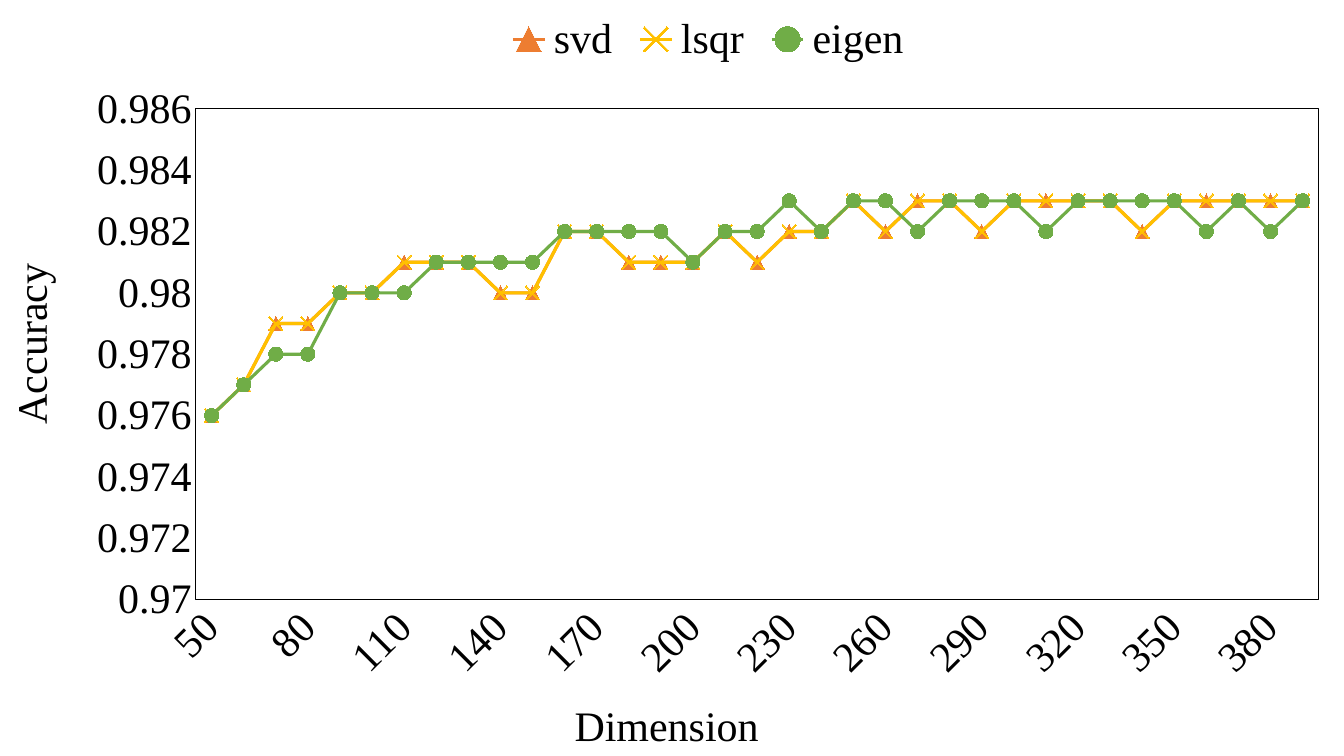
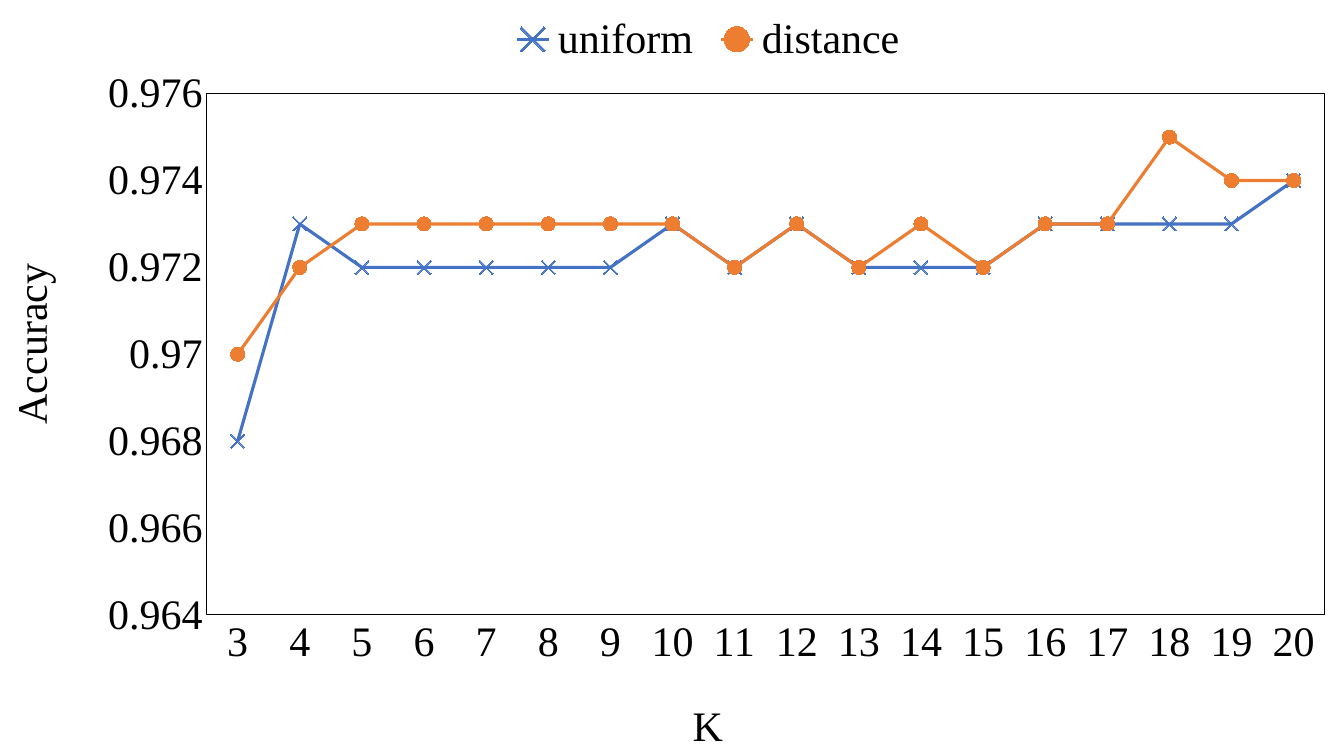
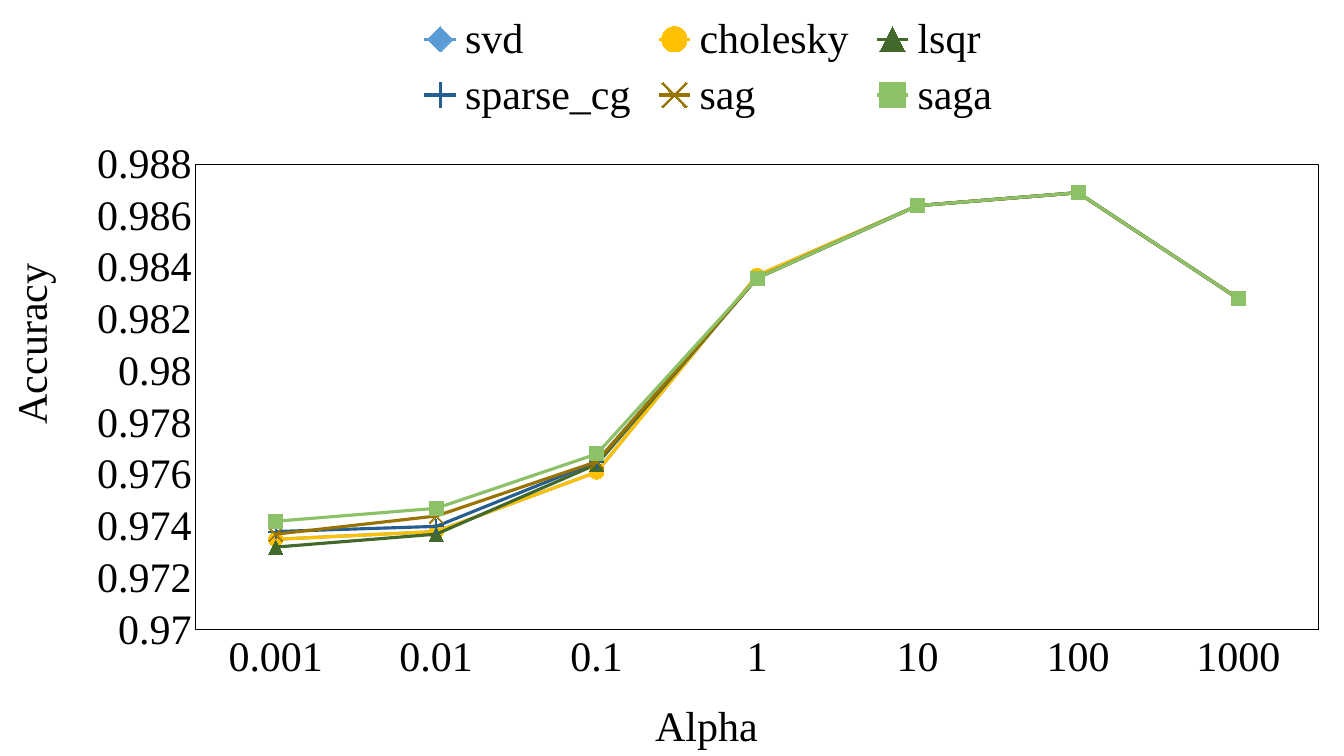
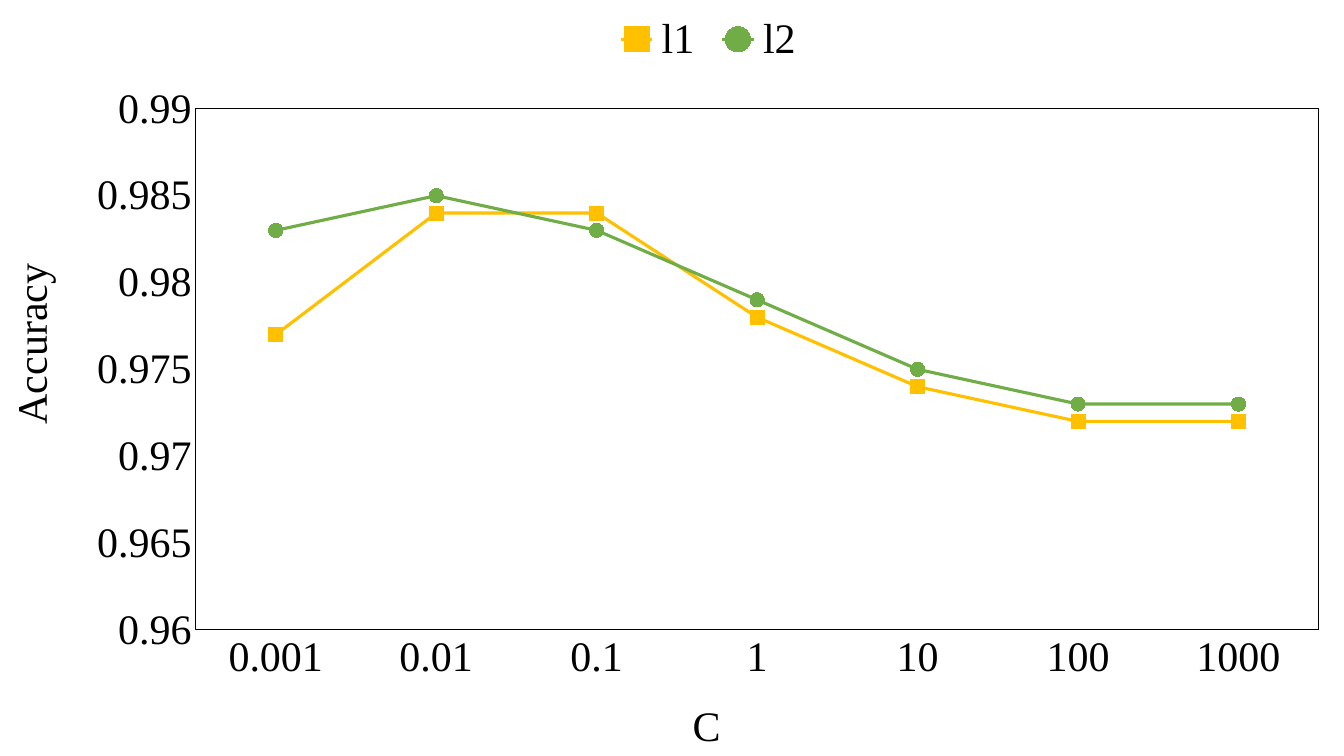
from lxml import etree
from pptx import Presentation
from pptx import util as u
from pptx.chart.data import CategoryChartData
from pptx.dml.color import RGBColor
from pptx.enum import chart as ch, text
from pptx.oxml import parse_xml
from pptx.oxml.ns import nsdecls, qn

BLACK, BLUE, ORANGE, GOLD, GREEN = "000000", "4472C4", "ED7D31", "FFC000", "70AD47"
SKY, FOREST, NAVY, BROWN, LIME = "5B9BD5", "43682B", "255E91", "997300", "8CC168"
CHART_BOX = (0.71, 0, 12.63, 6.89)
POWERS = ["0.001", "0.01", "0.1", "1", "10", "100", "1000"]


def rgb(value):
    """Turn a hex string into a colour."""
    return RGBColor.from_string(value)


def shape_props(line):
    """Build unfilled shape properties around the given line content."""
    return parse_xml(f'<c:spPr {nsdecls("c", "a")}><a:noFill/><a:ln w="9525">{line}</a:ln></c:spPr>')


class Deck:
    """Holds the style and the current slide of accuracy charts."""

    font = "Times New Roman"
    size = u.Pt(30)

    def __init__(self):
        """Start a widescreen presentation."""
        self.prs = Presentation()
        self.prs.slide_width, self.prs.slide_height = u.Inches(13.33), u.Inches(7.5)

    def new_slide(self):
        """Add a blank slide and make it current."""
        self.s = self.prs.slides.add_slide(self.prs.slide_layouts[6])

    def style(self, font):
        """Apply the shared text style to a font."""
        font.name, font.size, font.color.rgb = self.font, self.size, rgb(BLACK)

    def label(self, words, left, top, width, height, vertical=False):
        """Add an axis caption that reads across or upwards."""
        sp = self.s.shapes.add_textbox(*map(u.Inches, (left, top, width, height)))
        tf = sp.text_frame
        tf.word_wrap = False
        tf.auto_size = text.MSO_AUTO_SIZE.SHAPE_TO_FIT_TEXT
        p = tf.paragraphs[0]
        p.text = words
        self.style(p.font)
        if vertical:
            sp.rotation = 180
            tf._txBody.bodyPr.set("vert", "eaVert")

    def accuracy_label(self):
        """Add the caption of the value axis."""
        self.label("Accuracy", 0, 2.59, 0.71, 1.72, vertical=True)

    def line_chart(self, cats, series, scale, plot_box, base_line=False, open_markers=()):
        """Add a framed line chart and return it."""
        data = CategoryChartData()
        data.categories = cats
        for name, _, _, values in series:
            data.add_series(name, values)
        chart = self.s.shapes.add_chart(
            ch.XL_CHART_TYPE.LINE_MARKERS, *map(u.Inches, CHART_BOX), data).chart
        chart.has_title = False
        self.style(chart.font)
        chart.has_legend = True
        chart.legend.position = ch.XL_LEGEND_POSITION.TOP
        chart.legend.include_in_layout = False
        self.style(chart.legend.font)
        self.axes(chart, scale, base_line)
        chart.plots[0].vary_by_categories = False
        for line, (_, color, marker, _) in zip(chart.plots[0].series, series):
            self.line_style(line, color, marker, marker in open_markers)
        self.frame(chart, plot_box)
        return chart

    def axes(self, chart, scale, base_line):
        """Format both axes and set the value range."""
        for axis in (chart.category_axis, chart.value_axis):
            axis.has_major_gridlines = False
            axis.major_tick_mark = axis.minor_tick_mark = ch.XL_TICK_MARK.NONE
            axis.format.line.fill.background()
            self.style(axis.tick_labels.font)
        if base_line:
            base = chart.category_axis.format.line
            base.color.rgb, base.width = rgb(BLACK), u.Pt(0.75)
        axis = chart.value_axis
        axis.minimum_scale, axis.maximum_scale, axis.major_unit = scale
        axis.tick_labels.number_format = "General"
        axis.tick_labels.number_format_is_linked = False

    def line_style(self, line, color, marker, is_open):
        """Colour one series and its markers."""
        line.smooth = False
        line.format.line.color.rgb, line.format.line.width = rgb(color), u.Pt(2.25)
        line.marker.style = ch.XL_MARKER_STYLE[marker]
        line.marker.size = 10
        look = line.marker.format
        look.line.color.rgb, look.line.width = rgb(color), u.Pt(0.75)
        if is_open:
            look.fill.background()
        else:
            look.fill.solid()
            look.fill.fore_color.rgb = rgb(color)

    def frame(self, chart, plot_box):
        """Place the plot at a slide position in inches and outline it."""
        root = chart._chartSpace.find(qn("c:chart"))
        root.addnext(shape_props("<a:noFill/>"))
        area = root.find(qn("c:plotArea"))
        for old in area.findall(qn("c:layout")):
            area.remove(old)
        left, top, width, height = CHART_BOX
        x, y, w, h = plot_box
        layout = parse_xml(f'<c:layout {nsdecls("c")}><c:manualLayout/></c:layout>')
        settings = [("layoutTarget", "inner"), ("xMode", "edge"), ("yMode", "edge"),
                    ("x", (x - left) / width), ("y", (y - top) / height),
                    ("w", w / width), ("h", h / height)]
        for tag, value in settings:
            etree.SubElement(layout[0], qn(f"c:{tag}")).set("val", str(value))
        area.insert(0, layout)
        area.append(shape_props(f'<a:solidFill><a:srgbClr val="{BLACK}"/></a:solidFill>'))

    def slant_categories(self, chart, skip):
        """Tilt the category labels and show one in every few."""
        axis = chart.category_axis._element
        axis.find(qn("c:txPr")).find(qn("a:bodyPr")).set("rot", "-2700000")
        mark = parse_xml(f'<c:tickLblSkip {nsdecls("c")} val="{skip}"/>')
        axis.find(qn("c:noMultiLvlLbl")).addprevious(mark)


deck = Deck()

svd_accuracy = [
    0.976, 0.977, 0.979, 0.979, 0.98, 0.98, 0.981, 0.981, 0.981, 0.98, 0.98, 0.982,
    0.982, 0.981, 0.981, 0.981, 0.982, 0.981, 0.982, 0.982, 0.983, 0.982, 0.983, 0.983,
    0.982, 0.983, 0.983, 0.983, 0.983, 0.982, 0.983, 0.983, 0.983, 0.983, 0.983]
eigen_accuracy = [
    0.976, 0.977, 0.978, 0.978, 0.98, 0.98, 0.98, 0.981, 0.981, 0.981, 0.981, 0.982,
    0.982, 0.982, 0.982, 0.981, 0.982, 0.982, 0.983, 0.982, 0.983, 0.983, 0.982, 0.983,
    0.983, 0.983, 0.982, 0.983, 0.983, 0.983, 0.983, 0.982, 0.983, 0.982, 0.983]
deck.new_slide()
dimension_chart = deck.line_chart(
    [str(n) for n in range(50, 400, 10)],
    [("svd", ORANGE, "TRIANGLE", svd_accuracy),
     ("lsqr", GOLD, "X", svd_accuracy),
     ("eigen", GREEN, "CIRCLE", eigen_accuracy)],
    (0.97, 0.986, 0.002), (1.94, 1.08, 11.14, 4.87))
deck.slant_categories(dimension_chart, 3)
deck.accuracy_label()
deck.label("Dimension", 5.6, 6.89, 2.13, 0.61)

uniform_accuracy = [
    0.968, 0.973, 0.972, 0.972, 0.972, 0.972, 0.972, 0.973, 0.972,
    0.973, 0.972, 0.972, 0.972, 0.973, 0.973, 0.973, 0.973, 0.974]
distance_accuracy = [
    0.97, 0.972, 0.973, 0.973, 0.973, 0.973, 0.973, 0.973, 0.972,
    0.973, 0.972, 0.973, 0.972, 0.973, 0.973, 0.975, 0.974, 0.974]
deck.new_slide()
deck.accuracy_label()
deck.label("K", 6.77, 6.89, 0.51, 0.61)
deck.line_chart(
    [str(n) for n in range(3, 21)],
    [("uniform", BLUE, "X", uniform_accuracy),
     ("distance", ORANGE, "CIRCLE", distance_accuracy)],
    (0.964, 0.976, 0.002), (2.05, 0.93, 11.09, 5.17))

shared_tail = [0.9864, 0.9869, 0.9828]
cholesky_accuracy = [0.9735, 0.9738, 0.9761, 0.9837] + shared_tail
deck.new_slide()
deck.accuracy_label()
deck.label("Alpha", 6.4, 6.89, 1.23, 0.61)
deck.line_chart(
    POWERS,
    [("svd", SKY, "DIAMOND", cholesky_accuracy),
     ("cholesky", GOLD, "CIRCLE", cholesky_accuracy),
     ("lsqr", FOREST, "TRIANGLE", [0.9732, 0.9737, 0.9764, 0.9836] + shared_tail),
     ("sparse_cg", NAVY, "PLUS", [0.9738, 0.974, 0.9765, 0.9836] + shared_tail),
     ("sag", BROWN, "X", [0.9737, 0.9744, 0.9765, 0.9836] + shared_tail),
     ("saga", LIME, "SQUARE", [0.9742, 0.9747, 0.9768, 0.9836] + shared_tail)],
    (0.97, 0.988, 0.002), (1.94, 1.63, 11.14, 4.62),
    base_line=True, open_markers=("PLUS", "X"))

deck.new_slide()
deck.accuracy_label()
deck.label("C", 6.77, 6.89, 0.48, 0.61)
deck.line_chart(
    POWERS,
    [("l1", GOLD, "SQUARE", [0.977, 0.984, 0.984, 0.978, 0.974, 0.972, 0.972]),
     ("l2", GREEN, "CIRCLE", [0.983, 0.985, 0.983, 0.979, 0.975, 0.973, 0.973])],
    (0.96, 0.99, 0.005), (1.94, 1.08, 11.14, 5.17), base_line=True)

deck.prs.save("out.pptx")
